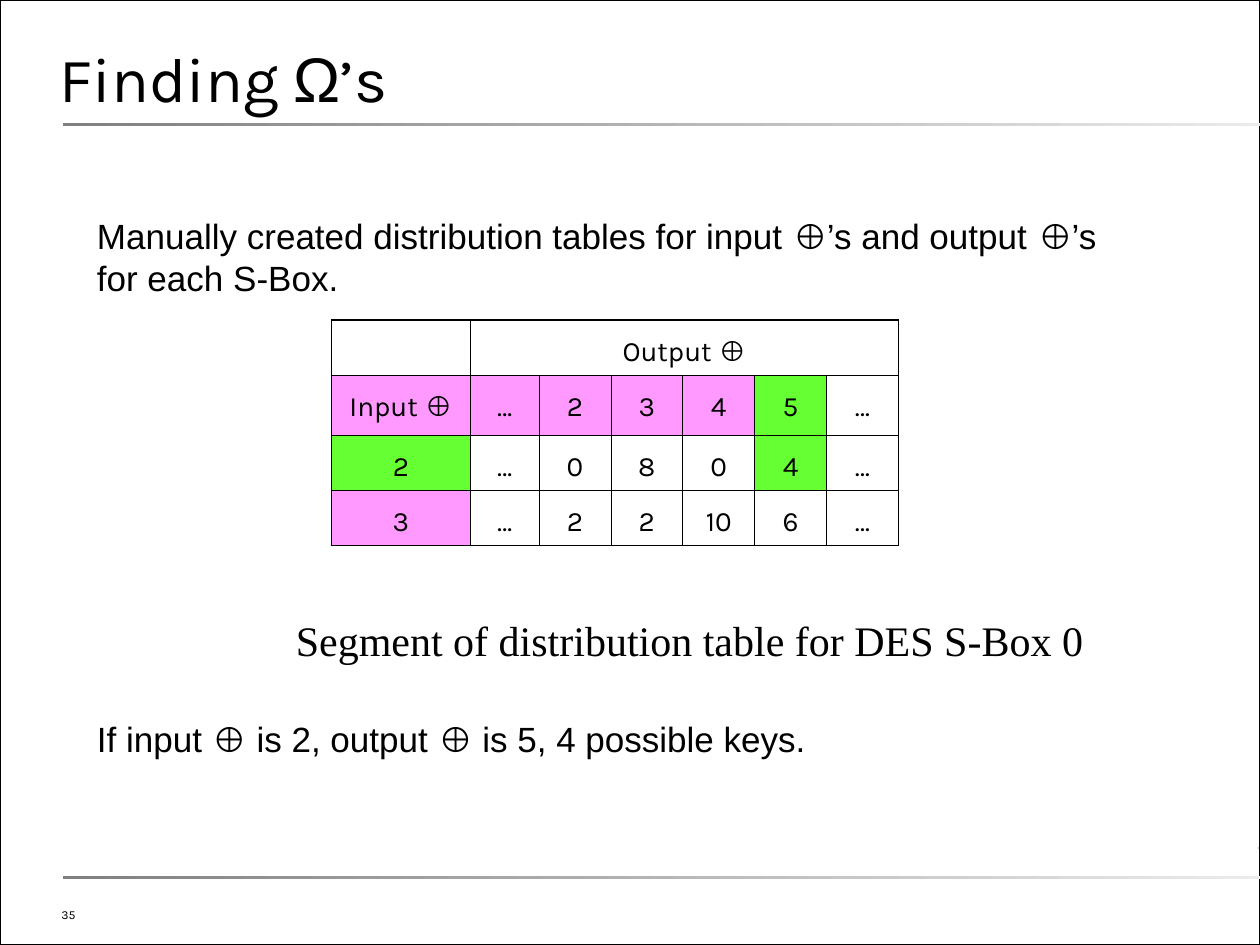
from dataclasses import dataclass

from pptx import Presentation
from pptx.dml.color import RGBColor
from pptx.enum.shapes import MSO_SHAPE
from pptx.enum.text import MSO_ANCHOR, MSO_AUTO_SIZE, PP_ALIGN
from pptx.oxml import parse_xml
from pptx.util import Pt

DRAWING_NS = "http://schemas.openxmlformats.org/drawingml/2006/main"


@dataclass(frozen=True)
class Theme:
    """Colours, fonts and type sizes of the slide."""

    ink: str = "000000"
    paper: str = "FFFFFF"
    pink: str = "FF99FF"
    green: str = "66FF33"
    rule_start: str = "808080"
    rule_end: str = "EBEBEB"
    mark_end: str = "D7D7D7"
    heading: str = "Karla"
    body: str = "Arial"
    caption: str = "Times New Roman"
    title_size: float = 36
    caption_size: float = 24
    body_size: float = 20
    cell_size: float = 16
    number_size: float = 7
    outer_border: float = 1.08
    inner_border: float = 0.45


class SlideBuilder:
    """Draws styled elements on the current slide."""

    def __init__(self, slide, theme):
        """Keep the slide and its theme."""
        self.slide = slide
        self.theme = theme

    def add_runs(self, paragraph, runs, size):
        """Add (text, font) runs to a paragraph."""
        for text, font in runs:
            run = paragraph.add_run()
            run.text = text
            run.font.name = font
            run.font.size = Pt(size)
            run.font.color.rgb = RGBColor.from_string(self.theme.ink)

    def place(self, holder, box, insets, anchor):
        """Position a text holder and set up its frame."""
        holder.left, holder.top, holder.width, holder.height = map(Pt, box)
        frame = holder.text_frame
        frame.word_wrap = True
        frame.auto_size = MSO_AUTO_SIZE.NONE
        frame.vertical_anchor = anchor
        (frame.margin_left, frame.margin_top,
         frame.margin_right, frame.margin_bottom) = map(Pt, insets)
        return frame

    def title(self, box, runs):
        """Fill the title placeholder."""
        frame = self.place(self.slide.shapes.title, box, (0, 0, 0, 0), MSO_ANCHOR.BOTTOM)
        heading = frame.paragraphs[0]
        heading.alignment = PP_ALIGN.LEFT
        heading.line_spacing = Pt(26)
        self.add_runs(heading, runs, self.theme.title_size)

    def body(self, box, top_inset, statements):
        """Fill the body placeholder with (text, space before) statements."""
        frame = self.place(self.slide.placeholders[1], box,
                           (7.2, top_inset, 7.2, 3.6), MSO_ANCHOR.TOP)
        for index, (text, gap) in enumerate(statements):
            statement = frame.add_paragraph() if index else frame.paragraphs[0]
            statement.space_before = Pt(gap)
            properties = statement._p.get_or_add_pPr()
            properties.set("marL", "0")
            properties.set("indent", "0")
            properties.append(parse_xml(f'<a:buNone xmlns:a="{DRAWING_NS}"/>'))
            self.add_runs(statement, [(text, self.theme.body)], self.theme.body_size)

    def label(self, box, runs, size, anchor=MSO_ANCHOR.TOP):
        """Add a free line of text."""
        holder = self.slide.shapes.add_textbox(*map(Pt, box))
        frame = self.place(holder, box, (7.2, 3.6, 7.2, 3.6), anchor)
        self.add_runs(frame.paragraphs[0], runs, size)

    def rectangle(self, box):
        """Add a rectangle without shadow."""
        shape = self.slide.shapes.add_shape(MSO_SHAPE.RECTANGLE, *map(Pt, box))
        shape.shadow.inherit = False
        return shape

    def outline(self, box):
        """Add the thin frame around the slide."""
        shape = self.rectangle(box)
        shape.fill.background()
        shape.line.color.rgb = RGBColor.from_string(self.theme.ink)
        shape.line.width = Pt(0.99)

    def fading_rule(self, box, end):
        """Add a bar that fades from left to right."""
        shape = self.rectangle(box)
        shape.line.fill.background()
        shape.fill.gradient()
        shape.fill.gradient_angle = 0
        for stop, colour, position in zip(shape.fill.gradient_stops,
                                          (self.theme.rule_start, end), (0, 1)):
            stop.color.rgb = RGBColor.from_string(colour)
            stop.position = position

    def borders(self, cell, outer_sides):
        """Line a cell, heavier on its outer sides."""
        properties = cell._tc.get_or_add_tcPr()
        for index, (side, outer) in enumerate(zip("LRTB", outer_sides)):
            width = Pt(self.theme.outer_border if outer else self.theme.inner_border)
            properties.insert(index, parse_xml(
                f'<a:ln{side} xmlns:a="{DRAWING_NS}" w="{int(width)}"><a:solidFill>'
                f'<a:srgbClr val="{self.theme.ink}"/></a:solidFill></a:ln{side}>'))

    def table(self, box, widths, heights, rows, fills):
        """Add a bordered table whose first row spans all but one column."""
        table = self.slide.shapes.add_table(len(rows), len(widths), *map(Pt, box)).table
        table.first_row = table.horz_banding = False
        for column, width in zip(table.columns, widths):
            column.width = Pt(width)
        for row, height in zip(table.rows, heights):
            row.height = Pt(height)
        table.cell(0, 1).merge(table.cell(0, len(widths) - 1))
        for r, row in enumerate(rows):
            for c, runs in enumerate(row):
                cell = table.cell(r, c)
                cell.fill.solid()
                cell.fill.fore_color.rgb = RGBColor.from_string(
                    fills.get((r, c), self.theme.paper))
                right = c == len(widths) - 1 or cell.is_merge_origin
                self.borders(cell, (c == 0, right, r == 0, r == len(rows) - 1))
                if runs:
                    entry = cell.text_frame.paragraphs[0]
                    entry.alignment = PP_ALIGN.CENTER
                    entry.line_spacing = Pt(24)
                    entry.space_after = Pt(12)
                    self.add_runs(entry, runs, self.theme.cell_size)


theme = Theme()
deck = Presentation()
deck.slide_width, deck.slide_height = Pt(720), Pt(540)
builder = SlideBuilder(deck.slides.add_slide(deck.slide_layouts[1]), theme)

builder.outline((0, 0, 720, 540))
builder.fading_rule((718.6, 483.8, 0.7, 1.4), theme.mark_end)
for rule_top in (70.4, 500.6):
    builder.fading_rule((36, rule_top, 686, 1.6), theme.rule_end)

builder.label((28, 514, 251.3, 16.6), [("35", theme.heading)],
              theme.number_size, MSO_ANCHOR.BOTTOM)
builder.title((34, 5.8, 650, 59.8), [("Finding ", theme.heading),
                                     ("Ω", theme.body), ("’s", theme.heading)])
builder.body((48.2, 95.8, 588.2, 343.4), 26.6, [
    ("Manually created distribution tables for input ⊕’s and output ⊕’s "
     "for each S-Box.", 0),
    ("If input ⊕ is 2, output ⊕ is 5, 4 possible keys.", 239.5)])

counts = ["… 2 3 4 5 …", "2 … 0 8 0 4 …", "3 … 2 2 10 6 …"]
output_values, *input_rows = [[[(value, theme.heading)] for value in line.split()]
                              for line in counts]
axis_output, axis_input = ([(word, theme.heading), ("⊕", theme.body)]
                           for word in ("Output ", "Input "))
distribution = [[None, axis_output] + [None] * 5,
                [axis_input] + output_values, *input_rows]
highlights = {(1, c): theme.pink for c in range(5)}
highlights[3, 0] = theme.pink
highlights.update(dict.fromkeys([(1, 5), (2, 0), (2, 5)], theme.green))
builder.table((189.4, 182.9, 324, 128.2), [79.4, 39.2] + [41.1] * 5,
              [31.5, 34.3, 31.5, 31.5], distribution, highlights)

builder.label((162, 347.8, 470.2, 36),
              [("Segment of distribution table for DES S-Box 0", theme.caption)],
              theme.caption_size)

deck.save("out.pptx")
